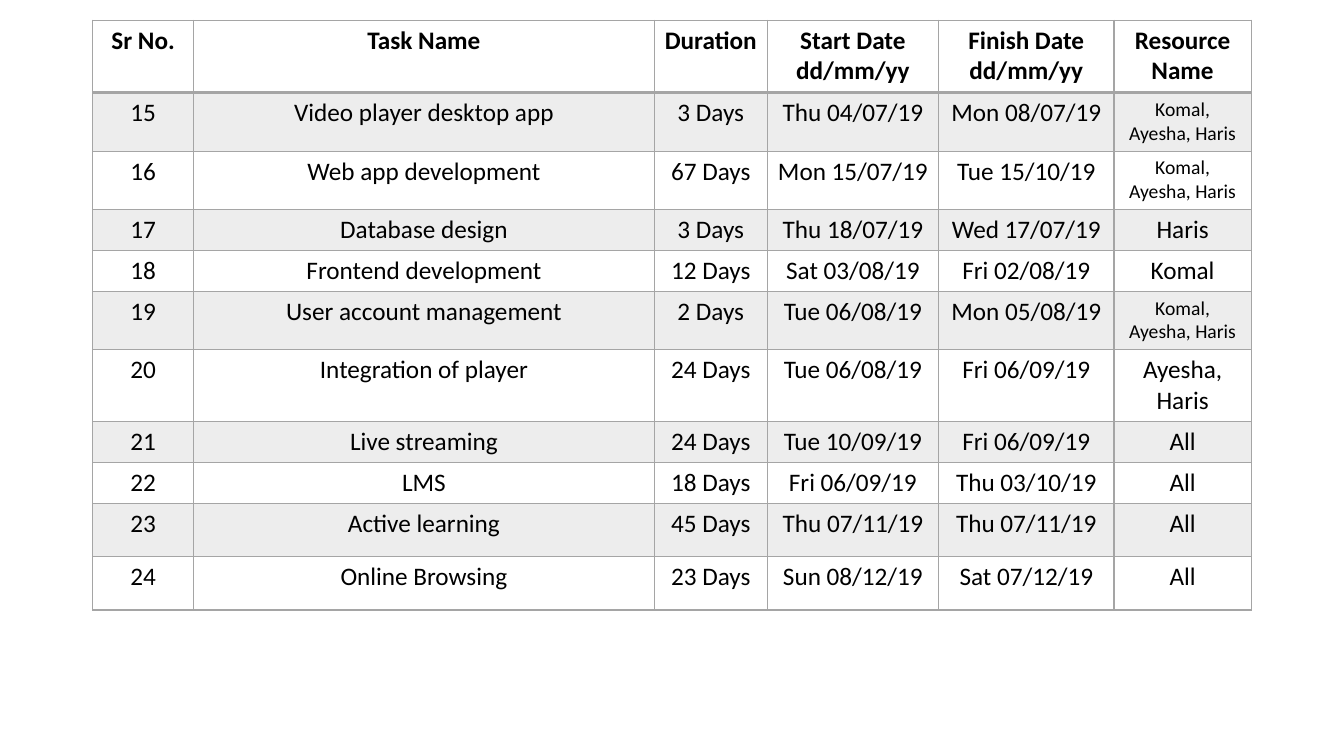
from pptx import Presentation
from pptx import util as u
from pptx.dml.color import RGBColor
from pptx.enum import text
from pptx.oxml import parse_xml
from pptx.oxml.ns import nsdecls

FONT, INK, RULE, BAND = "Calibri", "000000", "A5A5A5", "EDEDED"
TEAM = "Komal, Ayesha, Haris"
COLS = [1, 4.57, 1.12, 1.7, 1.74, 1.36]
ROWS = [0.72, 0.58, 0.58, 0.4, 0.4, 0.58, 0.71, 0.4, 0.4, 0.53, 0.53]
HEADER = ("Sr No.", "Task Name", "Duration", "Start Date\vdd/mm/yy",
          "Finish Date\vdd/mm/yy", "Resource Name")
TASKS = [
    ("15", "Video player desktop app", "3 Days", "Thu 04/07/19", "Mon 08/07/19", TEAM),
    ("16", "Web app development", "67 Days", "Mon 15/07/19", "Tue 15/10/19", TEAM),
    ("17", "Database design", "3 Days", "Thu 18/07/19", "Wed 17/07/19", "Haris"),
    ("18", "Frontend development", "12 Days", "Sat 03/08/19", "Fri 02/08/19", "Komal"),
    ("19", "User account management", "2 Days", "Tue 06/08/19", "Mon 05/08/19", TEAM),
    ("20", "Integration of player", "24 Days", "Tue 06/08/19", "Fri 06/09/19", "Ayesha, Haris"),
    ("21", "Live streaming", "24 Days", "Tue 10/09/19", "Fri 06/09/19", "All"),
    ("22", "LMS", "18 Days", "Fri 06/09/19", "Thu 03/10/19", "All"),
    ("23", "Active learning", "45 Days", "Thu 07/11/19", "Thu 07/11/19", "All"),
    ("24", "Online Browsing", "23 Days", "Sun 08/12/19", "Sat 07/12/19", "All"),
]


def rgb(value):
    return RGBColor.from_string(value)


def set_borders(cell, widths):
    tcPr = cell._tc.get_or_add_tcPr()
    for side, width in widths.items():
        tcPr.append(parse_xml(
            f'<a:ln{side} {nsdecls("a")} w="{u.Pt(width)}"><a:solidFill>'
            f'<a:srgbClr val="{RULE}"/></a:solidFill></a:ln{side}>'))


def fill_cell(cell, label, row):
    header = row == 0
    set_borders(cell, {"L": 1, "R": 1, "T": 2 if row == 1 else 1, "B": 2 if header else 1})
    if row % 2:
        cell.fill.solid()
        cell.fill.fore_color.rgb = rgb(BAND)
    else:
        cell.fill.background()
    cell.text_frame.text = label
    p = cell.text_frame.paragraphs[0]
    p.alignment = text.PP_ALIGN.CENTER
    for r in p.runs:
        r.font.name = FONT
        r.font.size = u.Pt(14 if label == TEAM else 18)
        r.font.bold = header
        r.font.color.rgb = rgb(INK)


def add_schedule(s, left, top, width, height):
    rows = [HEADER] + TASKS
    table = s.shapes.add_table(len(rows), len(COLS), u.Inches(left), u.Inches(top),
                               u.Inches(width), u.Inches(height)).table
    table.first_row = table.horz_banding = False
    for column, size in zip(table.columns, COLS):
        column.width = u.Inches(size * width / sum(COLS))
    for row, size in zip(table.rows, ROWS):
        row.height = u.Inches(size * height / sum(ROWS))
    for i, labels in enumerate(rows):
        for j, label in enumerate(labels):
            fill_cell(table.cell(i, j), label, i)


def main():
    prs = Presentation()
    prs.slide_width, prs.slide_height = u.Inches(13.33), u.Inches(7.5)
    s = prs.slides.add_slide(prs.slide_layouts[6])
    add_schedule(s, 0.92, 0.2, sum(COLS), sum(ROWS))
    prs.save("out.pptx")


if __name__ == "__main__":
    main()
